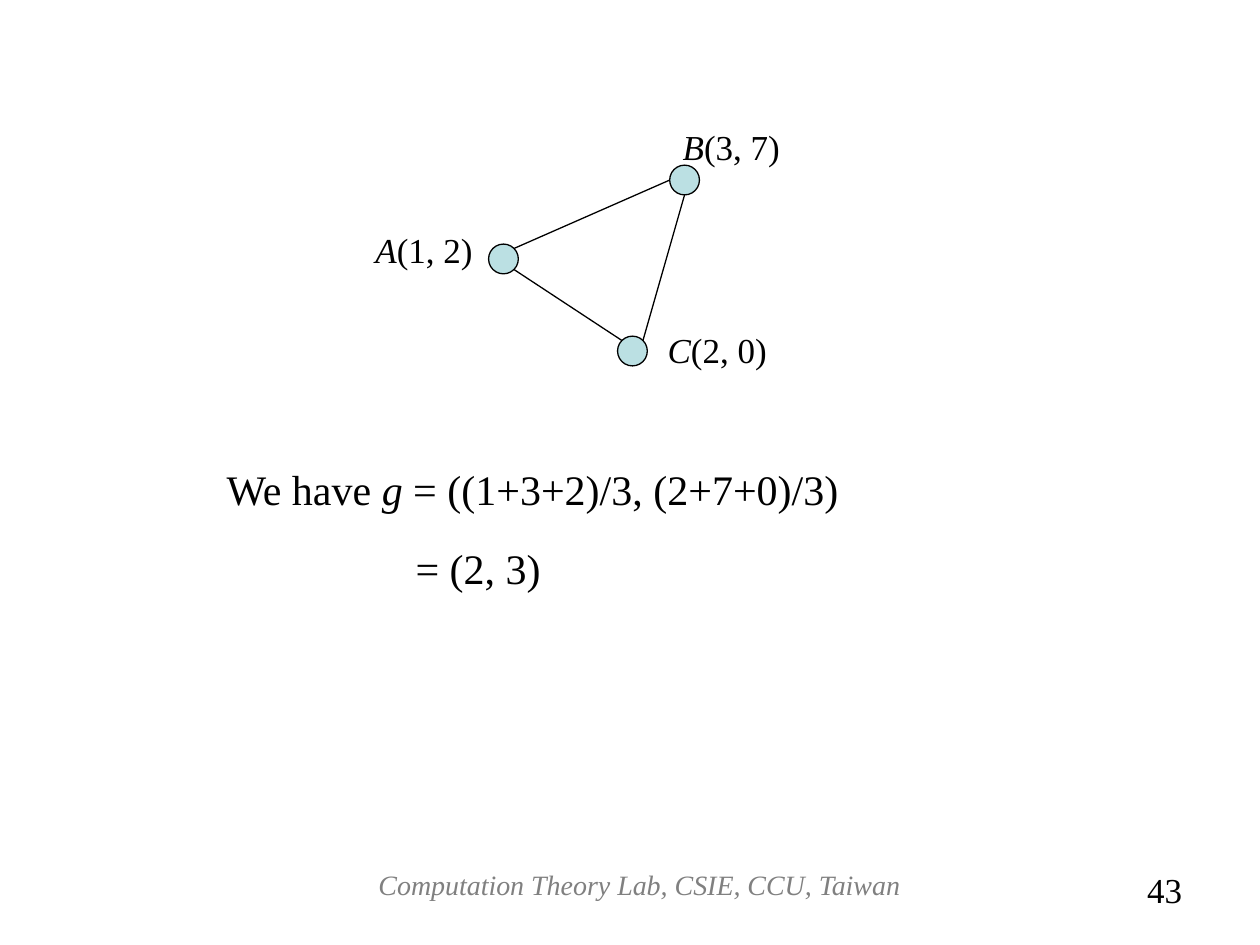
"""Build a slide that finds the centre of gravity of a triangle ABC."""
from math import cos, radians, sin

from lxml.etree import SubElement
from pptx import Presentation
from pptx.dml.color import RGBColor
from pptx.enum.shapes import MSO_CONNECTOR, MSO_SHAPE
from pptx.enum.text import PP_ALIGN
from pptx.oxml.ns import qn
from pptx.util import Pt

THEME = {
    "font": "Times New Roman",
    "ink": RGBColor(0x00, 0x00, 0x00),
    "muted": RGBColor(0x80, 0x80, 0x80),
    "vertex": RGBColor(0xBB, 0xE0, 0xE3),
    "body": Pt(24),
    "label": Pt(20),
    "footer": Pt(16),
    "line": Pt(0.75),
}
RADIUS = 8.5


def add_text(left, top, width, height, lines, size, color=THEME["ink"], align=PP_ALIGN.LEFT):
    frame = slide.shapes.add_textbox(Pt(left), Pt(top), Pt(width), Pt(height)).text_frame
    frame.word_wrap = True
    for number, line in enumerate(lines):
        paragraph = frame.paragraphs[0] if number == 0 else frame.add_paragraph()
        paragraph.alignment = align
        for words, italic in line:
            run = paragraph.add_run()
            run.text = words
            run.font.color.rgb = color
            for name, value in {"name": THEME["font"], "size": size, "italic": italic}.items():
                setattr(run.font, name, value)
    return frame


def rim_point(vertex, angle):
    x, y = vertices[vertex]
    return Pt(x + RADIUS * cos(radians(angle))), Pt(y + RADIUS * sin(radians(angle)))


presentation = Presentation()
presentation.slide_width, presentation.slide_height = Pt(720), Pt(540)
slide = presentation.slides.add_slide(presentation.slide_layouts[6])

vertices = {"A": (287.7, 148), "B": (391.2, 102.9), "C": (361.4, 200.6)}
edges = [("A", -45, "B", 180), ("A", 45, "C", -135), ("B", 90, "C", -45)]
labels = [
    ("A", "(1, 2)", 207.4, 127),
    ("B", "(3, 7)", 383, 68),
    ("C", "(2, 0)", 374.4, 183.9),
]

for x, y in vertices.values():
    vertex = slide.shapes.add_shape(
        MSO_SHAPE.OVAL, Pt(x - RADIUS), Pt(y - RADIUS), Pt(2 * RADIUS), Pt(2 * RADIUS)
    )
    vertex.shadow.inherit = False
    vertex.fill.solid()
    vertex.fill.fore_color.rgb = THEME["vertex"]
    vertex.line.color.rgb = THEME["ink"]
    vertex.line.width = THEME["line"]

for start, start_angle, end, end_angle in edges:
    edge = slide.shapes.add_connector(
        MSO_CONNECTOR.STRAIGHT, *rim_point(start, start_angle), *rim_point(end, end_angle)
    )
    edge.line.color.rgb = THEME["ink"]
    edge.line.width = THEME["line"]
    SubElement(edge._element.spPr, qn("a:effectLst"))

for letter, coordinates, left, top in labels:
    add_text(left, top, 79.2, 31.7, [[(letter, True), (coordinates, False)]], THEME["label"])

derivation = add_text(
    122.4, 261.5, 371.5, 80,
    [
        [("We have ", False), ("g", True), (" = ((1+3+2)/3, (2+7+0)/3)", False)],
        [("= (2, 3)", False)],
    ],
    THEME["body"],
)
result = derivation.paragraphs[1]
result.space_before = Pt(16.3)
result._p.get_or_add_pPr().set("marL", str(Pt(108)))

add_text(
    172.8, 492, 385.2, 37.4, [[("Computation Theory Lab, CSIE, CCU, Taiwan", True)]],
    THEME["footer"], THEME["muted"], PP_ALIGN.CENTER,
)
add_text(575.3, 492.5, 107.3, 37.4, [[("43", False)]], THEME["label"], align=PP_ALIGN.RIGHT)

presentation.save("out.pptx")
